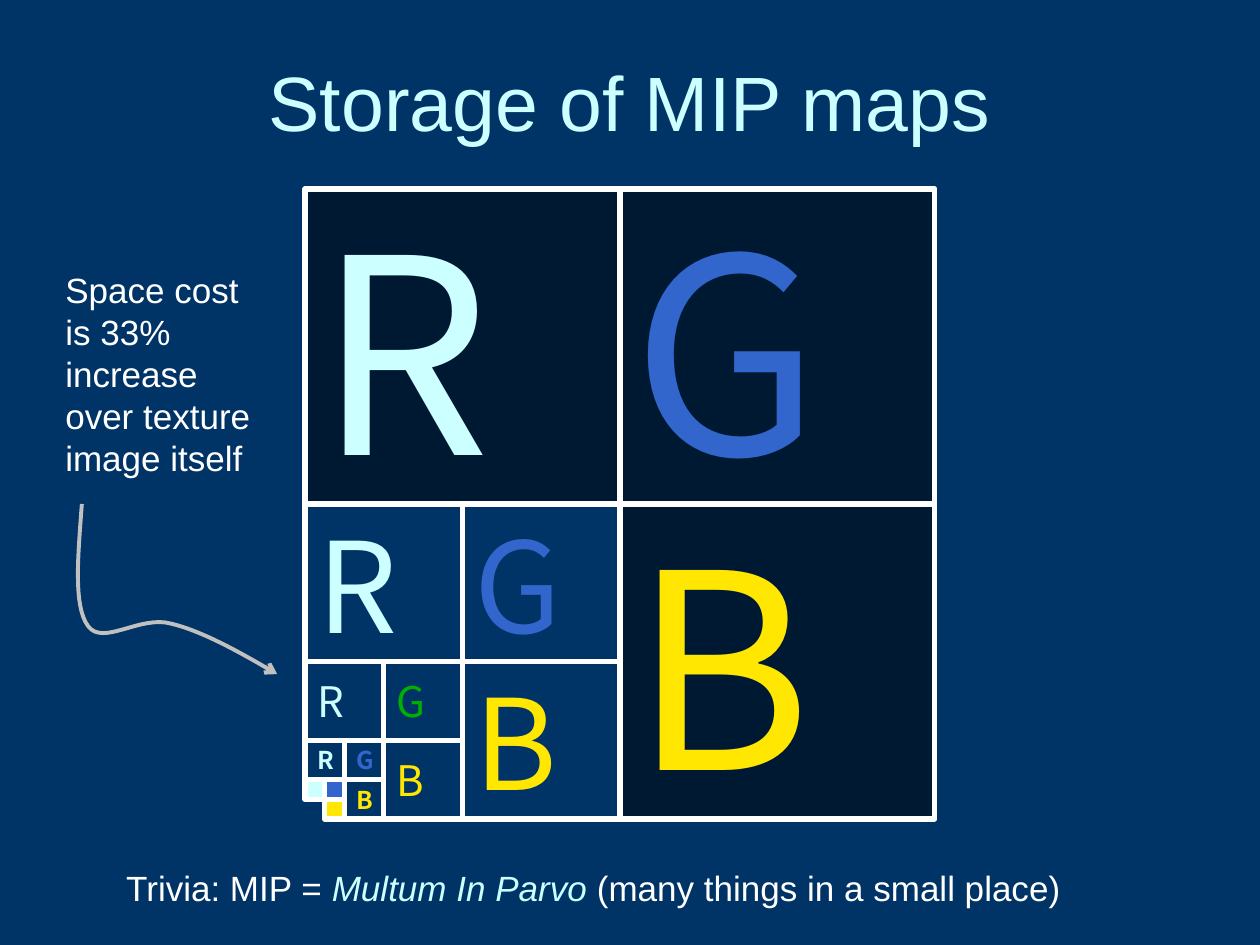
from lxml import etree
from pptx import Presentation
from pptx.dml.color import RGBColor
from pptx.enum.shapes import MSO_SHAPE
from pptx.enum.text import MSO_ANCHOR, PP_ALIGN
from pptx.oxml.ns import qn
from pptx.util import Inches, Pt

NAVY = RGBColor(0x00, 0x33, 0x66)
DARK = RGBColor(0x00, 0x19, 0x33)
WHITE = RGBColor(0xFF, 0xFF, 0xFF)
SILVER = RGBColor(0xC0, 0xC0, 0xC0)
CYAN = RGBColor(0xCC, 0xFF, 0xFF)
BLUE = RGBColor(0x33, 0x66, 0xCC)
GREEN = RGBColor(0x00, 0xB0, 0x00)
YELLOW = RGBColor(0xFF, 0xE7, 0x01)

# Text size, bold, cell fill and green-channel colour, from the largest map down
LEVELS = [
    (156, False, DARK, BLUE),
    (72, False, None, BLUE),
    (24, False, None, GREEN),
    (14, True, None, BLUE),
    (None, False, None, BLUE),
]
MAP_LEFT, MAP_BOTTOM, MAP_SIDE = 2.42, 6.5, 2.5

ARROW_START = (0.65, 4)
ARROW_CURVES = [
    ((0.62, 4.41), (0.58, 4.81), (0.7, 4.97)),
    ((0.82, 5.13), (1.11, 4.88), (1.36, 4.95)),
    ((1.61, 5.01), (1.91, 5.18), (2.2, 5.35)),
]


def bezier(p0, p1, p2, p3, steps=16):
    """Points along a cubic curve, without its start."""
    for i in range(1, steps + 1):
        t = i / steps
        u = 1 - t
        yield tuple(
            Inches(u**3 * a + 3 * u * u * t * b + 3 * u * t * t * c + t**3 * d)
            for a, b, c, d in zip(p0, p1, p2, p3)
        )


class SlideBuilder:
    text_font = "Arial"
    letter_font = "Noto Sans CJK KR"

    def __init__(self, prs):
        self.s = prs.slides.add_slide(prs.slide_layouts[6])
        fill = self.s.background.fill
        fill.solid()
        fill.fore_color.rgb = NAVY

    def run(self, p, text, color, **fmt):
        r = p.add_run()
        r.text = text
        for name, value in fmt.items():
            setattr(r.font, name, value)
        r.font.color.rgb = color

    def text(self, box, runs, size, align=PP_ALIGN.LEFT, anchor=MSO_ANCHOR.TOP):
        """Add a wrapped text box; runs are (text, colour, italic)."""
        tf = self.s.shapes.add_textbox(*map(Inches, box)).text_frame
        tf.word_wrap = True
        tf.vertical_anchor = anchor
        p = tf.paragraphs[0]
        p.alignment = align
        for text, color, italic in runs:
            self.run(p, text, color, name=self.text_font, size=Pt(size), italic=italic)

    def square(self, left, top, side, fill):
        sp = self.s.shapes.add_shape(MSO_SHAPE.RECTANGLE, *map(Inches, (left, top, side, side)))
        sp.shadow.inherit = False
        if fill is None:
            sp.fill.background()
        else:
            sp.fill.solid()
            sp.fill.fore_color.rgb = fill
        sp.line.color.rgb = WHITE
        sp.line.width = Pt(3)
        return sp

    def letter(self, sp, text, color, size, bold):
        tf = sp.text_frame
        tf.word_wrap = False
        tf.vertical_anchor = MSO_ANCHOR.MIDDLE
        p = tf.paragraphs[0]
        p.alignment = PP_ALIGN.JUSTIFY
        self.run(p, text, color, name=self.letter_font, size=Pt(size), bold=bold)

    def mip_level(self, side, size, bold, fill, green):
        """Place the three channel squares of one map size."""
        top = MAP_BOTTOM - 2 * side
        channels = [("G", 1, 0, green), ("R", 0, 0, CYAN), ("B", 1, 1, YELLOW)]
        for name, col, row, color in channels:
            sp = self.square(MAP_LEFT + col * side, top + row * side, side,
                             fill if size else color)
            if size:
                self.letter(sp, name, color, size, bold)

    def curved_arrow(self, start, curves, color, width):
        fb = self.s.shapes.build_freeform(*map(Inches, start))
        for curve in curves:
            fb.add_line_segments(bezier(start, *curve), close=False)
            start = curve[-1]
        sp = fb.convert_to_shape()
        sp.shadow.inherit = False
        sp.fill.background()
        sp.line.color.rgb = color
        sp.line.width = Pt(width)
        etree.SubElement(sp.line._get_or_add_ln(), qn("a:tailEnd"), type="arrow")


def main():
    prs = Presentation()
    prs.slide_width, prs.slide_height = Inches(10), Inches(7.5)
    slide = SlideBuilder(prs)

    slide.text((0.5, 0.17, 9, 1.25), [("Storage of MIP maps", CYAN, False)], 44,
               PP_ALIGN.CENTER, MSO_ANCHOR.MIDDLE)
    for i, level in enumerate(LEVELS):
        slide.mip_level(MAP_SIDE / 2**i, *level)
    slide.text((0.5, 6.83, 8.42, 0.58), [
        ("Trivia: MIP = ", WHITE, False),
        ("Multum In Parvo ", CYAN, True),
        ("(many things in a small place)", WHITE, False),
    ], 20, PP_ALIGN.CENTER)
    slide.text((0.42, 2.08, 1.83, 1.77),
               [("Space cost is 33% increase over texture image itself", WHITE, False)], 20)
    slide.curved_arrow(ARROW_START, ARROW_CURVES, SILVER, 2.25)

    prs.save("out.pptx")


if __name__ == "__main__":
    main()
